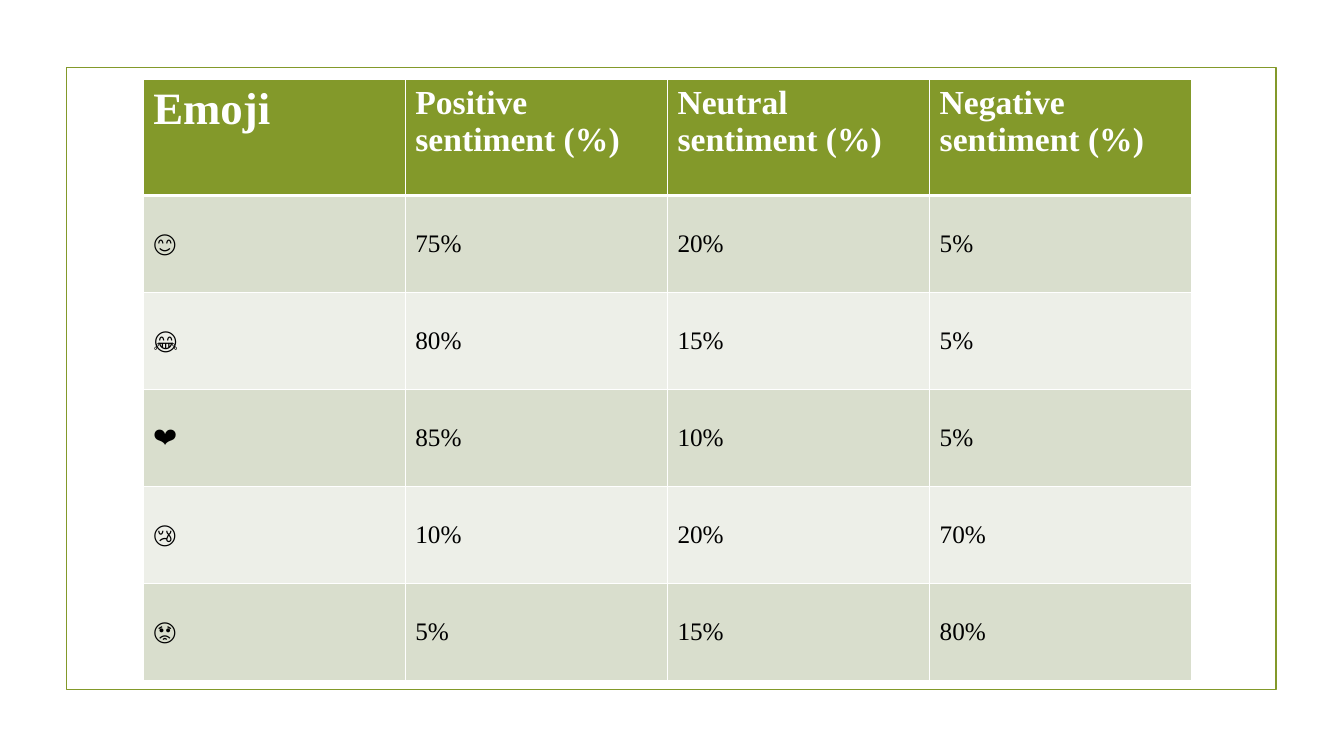
from dataclasses import dataclass

from lxml import etree
from pptx import Presentation
from pptx import util as u
from pptx.dml.color import RGBColor
from pptx.enum import shapes, text
from pptx.oxml.ns import qn

HEADS = ["Emoji", "Positive sentiment (%)", "Neutral sentiment (%)", "Negative sentiment (%)"]
MOODS = [
    ("😊", 75, 20, 5),
    ("😂", 80, 15, 5),
    ("❤️", 85, 10, 5),
    ("😢", 10, 20, 70),
    ("😡", 5, 15, 80),
]
SLIDE = (13.33, 7.5)
FRAME = (0.66, 0.67, 12, 6.17)
GRID = (1.42, 0.79, 10.4, 5.96)
HEAD_H = 1.15


@dataclass(frozen=True)
class Theme:
    font: str = "Times New Roman"
    green: str = "83992A"
    bands: tuple = ("D9DECD", "EDEFE8")
    white: str = "FFFFFF"
    black: str = "000000"
    first: int = 32
    head: int = 24
    body: int = 18
    frame: float = 1.25
    thin: int = 1
    thick: int = 3


T = Theme()


def color(code):
    return RGBColor.from_string(code)


def write(cell, words, size, ink, bold=False, anchor=text.MSO_ANCHOR.TOP):
    cell.vertical_anchor = anchor
    run = cell.text_frame.paragraphs[0].add_run()
    run.text = words
    font = run.font
    font.name, font.size, font.bold = T.font, u.Pt(size), bold
    font.color.rgb = color(ink)


def fill(cell, code):
    cell.fill.solid()
    cell.fill.fore_color.rgb = color(code)


def edge(cell, **widths):
    props = cell._tc.get_or_add_tcPr()
    for spot, side in enumerate("LRTB"):
        line = etree.Element(qn("a:ln" + side), w=str(u.Pt(widths.get(side, T.thin))))
        paint = etree.SubElement(line, qn("a:solidFill"))
        etree.SubElement(paint, qn("a:srgbClr"), val=T.white)
        props.insert(spot, line)


def add_frame(slide):
    box = slide.shapes.add_shape(shapes.MSO_SHAPE.RECTANGLE, *map(u.Inches, FRAME))
    box.shadow.inherit = False
    box.fill.background()
    box.line.color.rgb = color(T.green)
    box.line.width = u.Pt(T.frame)


def add_grid(slide):
    count = len(MOODS)
    table = slide.shapes.add_table(count + 1, len(HEADS), *map(u.Inches, GRID)).table
    for col in table.columns:
        col.width = u.Inches(GRID[2] / len(HEADS))
    for row in table.rows:
        row.height = u.Inches((GRID[3] - HEAD_H) / count)
    table.rows[0].height = u.Inches(HEAD_H)

    for c, head in enumerate(HEADS):
        cell = table.cell(0, c)
        write(cell, head, T.head if c else T.first, T.white, bold=True)
        fill(cell, T.green)
        edge(cell, B=T.thick)

    for r, (mood, *shares) in enumerate(MOODS):
        for c, words in enumerate([mood] + [f"{share}%" for share in shares]):
            cell = table.cell(r + 1, c)
            write(cell, words, T.body, T.black, anchor=text.MSO_ANCHOR.MIDDLE)
            fill(cell, T.bands[r % 2])
            edge(cell, T=T.thin if r else T.thick)


def main():
    deck = Presentation()
    deck.slide_width, deck.slide_height = map(u.Inches, SLIDE)
    slide = deck.slides.add_slide(deck.slide_layouts[6])
    add_frame(slide)
    add_grid(slide)
    deck.save("out.pptx")


if __name__ == "__main__":
    main()
